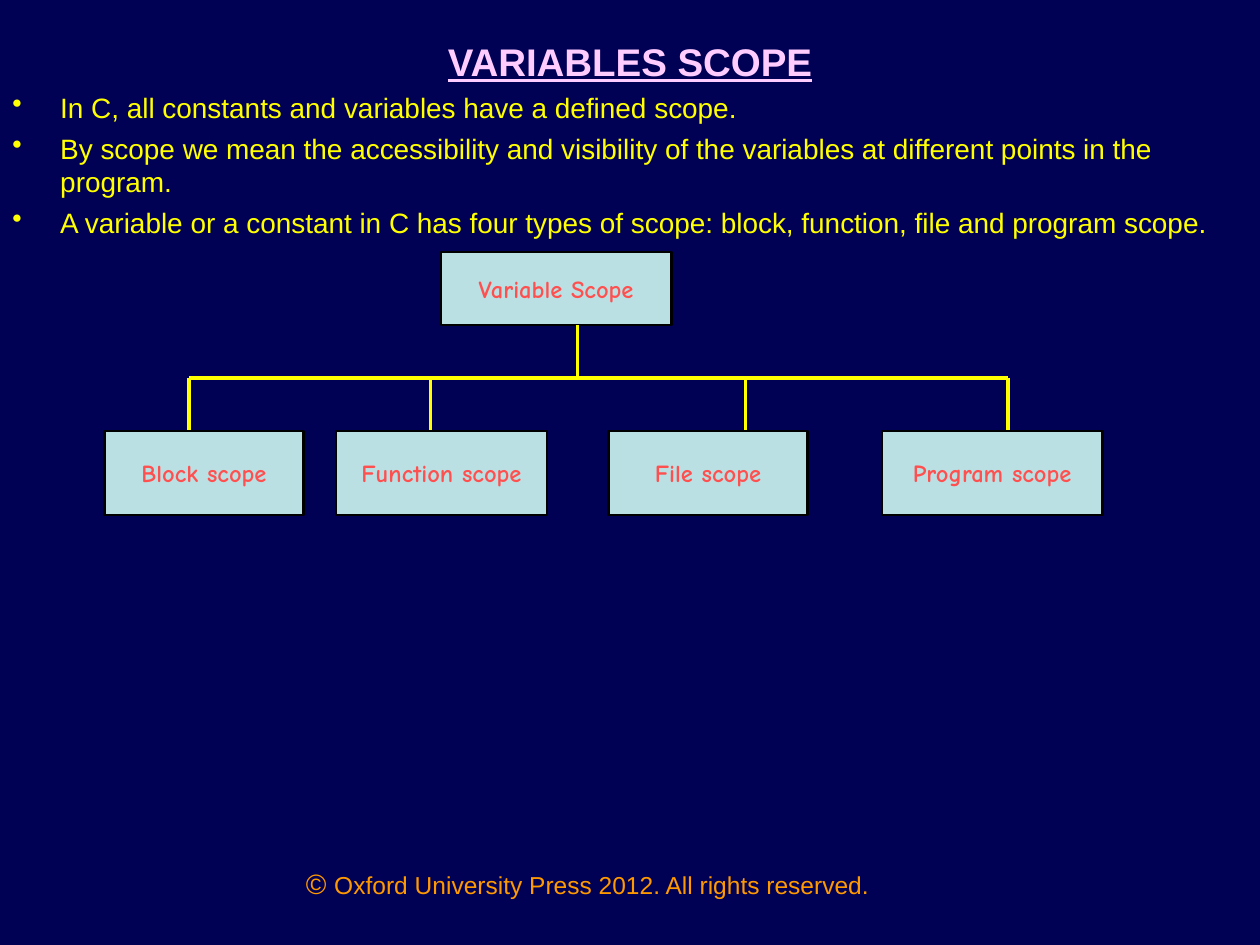
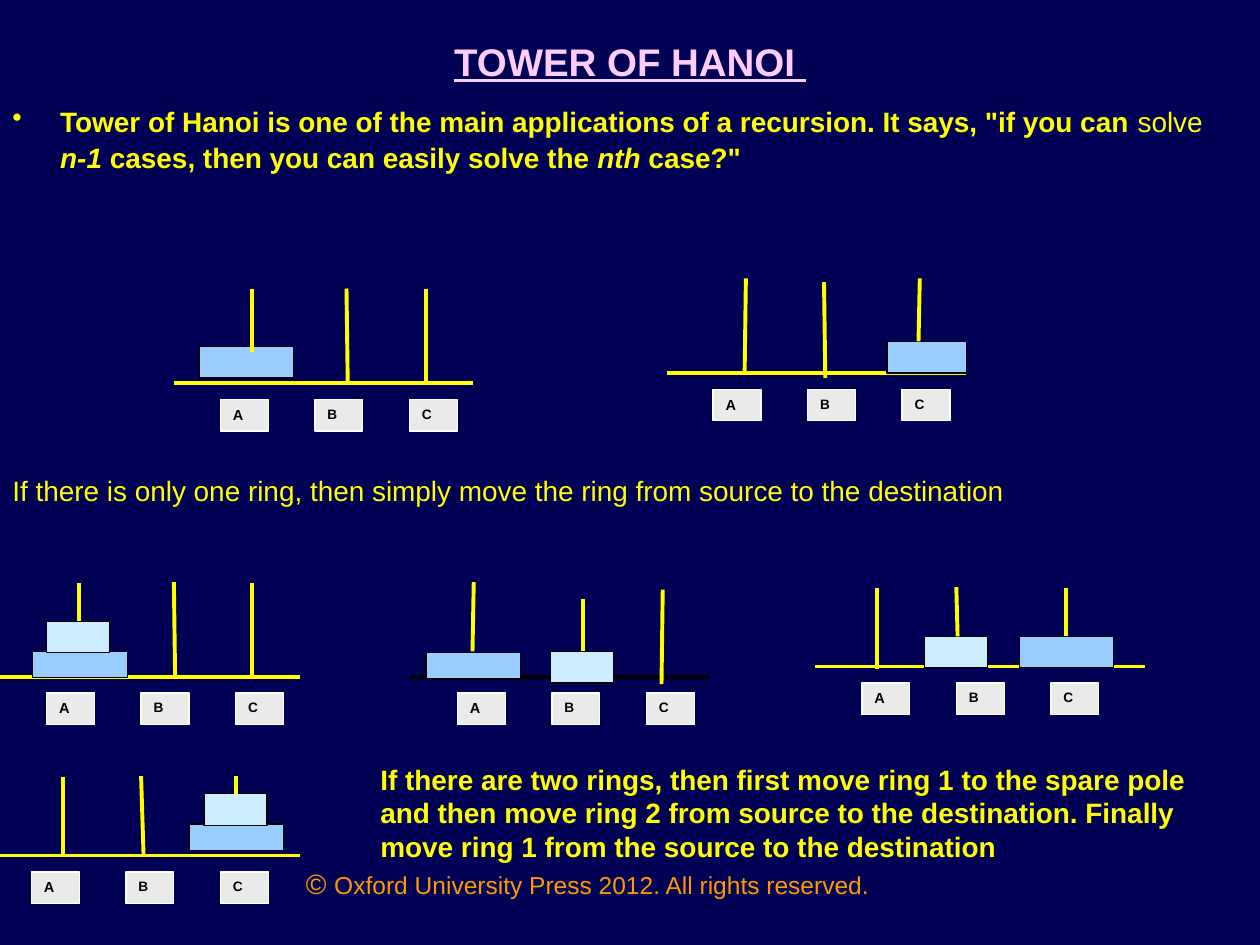
"""Build two lecture slides: variable scope in C and the Tower of Hanoi."""
import pptx
import pptx.dml.color
import pptx.enum.shapes
import pptx.enum.text
import pptx.oxml
import pptx.util
from lxml import etree

Inches = pptx.util.Inches
Pt = pptx.util.Pt
RGBColor = pptx.dml.color.RGBColor
Align = pptx.enum.text.PP_ALIGN
Anchor = pptx.enum.text.MSO_ANCHOR

NAVY = RGBColor(0x00, 0x00, 0x55)
YELLOW = RGBColor(0xFF, 0xFF, 0x00)
PINK = RGBColor(0xFF, 0xCC, 0xFF)
ORANGE = RGBColor(0xFF, 0x99, 0x00)
CORAL = RGBColor(0xFF, 0x50, 0x50)
TEAL = RGBColor(0xBB, 0xE0, 0xE3)
BLUE = RGBColor(0x99, 0xCC, 0xFF)
PALE_BLUE = RGBColor(0xCC, 0xEC, 0xFF)
GREY = RGBColor(0xEA, 0xEA, 0xEA)
BLACK = RGBColor(0x00, 0x00, 0x00)
WHITE = RGBColor(0xFF, 0xFF, 0xFF)

COPYRIGHT = [
    ("© ", {"size": 16}),
    ("Oxford University Press 2012. All rights reserved.", {}),
]

SCOPE_POINTS = [
    "In C, all constants and variables have a defined scope.",
    "By scope we mean the accessibility and visibility of the variables at "
    "different points in the program.",
    "A variable or a constant in C has four types of scope: block, function, "
    "file and program scope.",
]
SCOPE_ROOT = ("Variable Scope", (3.5, 2, 1.83, 0.58))
STEM_X, BUS_Y = 4.58, 3
CHILD_TOP, CHILD_HEIGHT = 3.42, 0.67
SCOPE_CHILDREN = [
    {"name": "Block scope", "left": 0.83, "width": 1.58, "drop": 1.5},
    {"name": "Function scope", "left": 2.67, "width": 1.67, "drop": 3.42},
    {"name": "File scope", "left": 4.83, "width": 1.58, "drop": 5.92},
    {"name": "Program scope", "left": 7, "width": 1.75, "drop": 8},
]

HANOI_IDEA = [
    ("Tower of Hanoi is one of the main applications of a recursion. "
     "It says, \"if you can ", {}),
    ("solve ", {"bold": False}),
    ("n-1", {"italic": True}),
    (" cases, then you can easily solve the ", {}),
    ("nth", {"italic": True}),
    (" case?\"", {}),
]
ONE_RING = ("If there is only one ring, then simply move the ring from "
            "source to the destination")
TWO_RINGS = ("If there are two rings, then first move ring 1 to the spare "
             "pole and then move ring 2 from source to the destination. "
             "Finally move ring 1 from the source to the destination")

PEG_LETTERS = [("A", 8.3), ("B", 7.8), ("C", 7.8)]
PEG_STEP, PEG_WIDTH, PEG_HEIGHT, BASE_GAP = 0.75, 0.38, 0.25, 0.13
HANOI_STEPS = [
    {"letters": (1.75, 3.17), "base": (1.38, 3.75, YELLOW),
     "rings": [(1.58, 2.75, 0.75, 0.25, BLUE)],
     "poles": [(2, 2.29, 2, 2.79), (2.75, 2.29, 2.76, 3.05),
               (3.38, 2.29, 3.38, 3.04)]},
    {"letters": (5.66, 3.09), "base": (5.29, 7.67, YELLOW),
     "rings": [(7.04, 2.71, 0.63, 0.25, BLUE)],
     "poles": [(5.92, 2.21, 5.91, 2.96), (6.54, 2.24, 6.55, 3),
               (7.3, 2.21, 7.29, 2.71)]},
    {"letters": (0.37, 5.5), "base": (0, 2.38, YELLOW),
     "rings": [(0.26, 5.17, 0.75, 0.21, BLUE),
               (0.37, 4.93, 0.5, 0.25, PALE_BLUE)],
     "poles": [(0.63, 4.63, 0.63, 4.93), (1.38, 4.62, 1.39, 5.38),
               (2, 4.63, 2, 5.37)]},
    {"letters": (3.63, 5.5), "base": (3.25, 5.63, BLACK),
     "rings": [(3.38, 5.18, 0.75, 0.21, BLUE),
               (4.37, 5.17, 0.5, 0.25, PALE_BLUE)],
     "poles": [(3.76, 4.62, 3.75, 5.17), (4.63, 4.75, 4.63, 5.17),
               (5.26, 4.68, 5.25, 5.43)]},
    {"letters": (6.84, 5.42), "base": (6.47, 9.09, YELLOW),
     "rings": [(8.09, 5.05, 0.75, 0.25, BLUE),
               (7.34, 5.05, 0.5, 0.25, PALE_BLUE)],
     "poles": [(6.96, 4.67, 6.96, 5.31), (7.59, 4.66, 7.6, 5.05),
               (8.46, 4.67, 8.46, 5.05)]},
    {"letters": (0.25, 6.92), "base": (0, 2.38, YELLOW),
     "rings": [(1.5, 6.54, 0.75, 0.21, BLUE),
               (1.62, 6.3, 0.5, 0.25, PALE_BLUE)],
     "poles": [(0.5, 6.17, 0.5, 6.79), (1.12, 6.16, 1.14, 6.8),
               (1.87, 6.16, 1.87, 6.3)]},
]


def add_bullet(paragraph):
    properties = paragraph._p.get_or_add_pPr()
    properties.set("marL", str(Inches(0.38)))
    properties.set("indent", str(-Inches(0.38)))
    tint = etree.SubElement(properties, pptx.oxml.ns.qn("a:buClr"))
    etree.SubElement(tint, pptx.oxml.ns.qn("a:srgbClr"), val=str(YELLOW))
    etree.SubElement(properties, pptx.oxml.ns.qn("a:buChar"), char="•")


def write_text(frame, paragraphs, size=16, color=YELLOW, font="Arial",
               bold=False, underline=False, align=Align.LEFT,
               anchor=Anchor.TOP, wrap=True, bullet=False, spacing=None):
    """Fill a text frame with paragraphs, each a string or a list of runs."""
    frame.auto_size = pptx.enum.text.MSO_AUTO_SIZE.NONE
    frame.word_wrap = wrap
    frame.vertical_anchor = anchor
    for index, content in enumerate(paragraphs):
        paragraph = frame.add_paragraph() if index else frame.paragraphs[0]
        paragraph.alignment = align
        if bullet:
            add_bullet(paragraph)
        if index:
            paragraph.space_before = Pt(4)
        if spacing:
            paragraph.line_spacing = spacing
        runs = [(content, {})] if isinstance(content, str) else content
        for text, changes in runs:
            run = paragraph.add_run()
            run.text = text
            run.font.name = font
            run.font.size = Pt(changes.get("size", size))
            run.font.bold = changes.get("bold", bold)
            run.font.italic = changes.get("italic", False)
            run.font.underline = underline
            run.font.color.rgb = color


def add_text(slide, box, paragraphs, **style):
    holder = slide.shapes.add_textbox(*map(Inches, box))
    write_text(holder.text_frame, paragraphs, **style)


def add_block(slide, box, fill, outline, weight):
    block = slide.shapes.add_shape(
        pptx.enum.shapes.MSO_SHAPE.RECTANGLE, *map(Inches, box))
    block.shadow.inherit = False
    block.fill.solid()
    block.fill.fore_color.rgb = fill
    block.line.color.rgb = outline
    block.line.width = Pt(weight)
    return block


def add_line(slide, ends, weight, color=YELLOW):
    line = slide.shapes.add_connector(
        pptx.enum.shapes.MSO_CONNECTOR.STRAIGHT, *map(Inches, ends))
    line.line.color.rgb = color
    line.line.width = Pt(weight)
    etree.SubElement(line._element.spPr, pptx.oxml.ns.qn("a:effectLst"))


def add_slide(deck, heading):
    slide = deck.slides.add_slide(deck.slide_layouts[5])
    slide.background.fill.solid()
    slide.background.fill.fore_color.rgb = NAVY
    title = slide.shapes.title
    title.left, title.top, title.width, title.height = map(
        Inches, (0.5, 0.3, 9, 0.7))
    title.text_frame.margin_top = title.text_frame.margin_bottom = 0
    write_text(title.text_frame, [heading], size=22, color=PINK, bold=True,
               underline=True, align=Align.CENTER)
    add_text(slide, (2, 6.83, 5.33, 0.52), [COPYRIGHT], size=14,
             color=ORANGE, align=Align.CENTER)
    return slide


def add_scope_box(slide, name, box):
    block = add_block(slide, box, TEAL, BLACK, 1.25)
    write_text(block.text_frame, [name], size=14, color=CORAL,
               font="Comic Neue", bold=True, align=Align.CENTER,
               anchor=Anchor.MIDDLE, wrap=False)


def build_scope_slide(deck):
    slide = add_slide(deck, "VARIABLES SCOPE")
    add_text(slide, (0, 0.67, 10, 5.79), SCOPE_POINTS, bullet=True)
    name, root_box = SCOPE_ROOT
    add_scope_box(slide, name, root_box)
    add_line(slide, (STEM_X, root_box[1] + root_box[3], STEM_X, BUS_Y), 1.75)
    add_line(slide, (SCOPE_CHILDREN[0]["drop"], BUS_Y,
                     SCOPE_CHILDREN[-1]["drop"], BUS_Y), 1.75)
    for child in SCOPE_CHILDREN:
        add_line(slide, (child["drop"], BUS_Y, child["drop"], CHILD_TOP), 1.75)
        add_scope_box(slide, child["name"], (child["left"], CHILD_TOP,
                                             child["width"], CHILD_HEIGHT))


def draw_hanoi_step(slide, step):
    left, top = step["letters"]
    base_left, base_right, base_color = step["base"]
    base_y = top - BASE_GAP
    add_line(slide, (base_left, base_y, base_right, base_y), 2.25, base_color)
    for *ring_box, ring_color in step["rings"]:
        add_block(slide, ring_box, ring_color, BLACK, 0.75)
    for pole in step["poles"]:
        add_line(slide, pole, 2.25)
    for index, (letter, size) in enumerate(PEG_LETTERS):
        peg_box = (left + index * PEG_STEP, top, PEG_WIDTH, PEG_HEIGHT)
        peg = add_block(slide, peg_box, GREY, WHITE, 0.75)
        write_text(peg.text_frame, [letter], size=size, color=BLACK, bold=True)


def build_hanoi_slide(deck):
    slide = add_slide(deck, "TOWER OF HANOI ")
    add_text(slide, (0, 0.75, 10, 0.92), [HANOI_IDEA], bold=True, bullet=True,
             spacing=1.1)
    for step in HANOI_STEPS:
        draw_hanoi_step(slide, step)
    add_text(slide, (0, 3.67, 9.67, 0.44), [ONE_RING], anchor=Anchor.MIDDLE)
    add_text(slide, (2.92, 6, 6.75, 0.9), [TWO_RINGS], bold=True)


def main():
    deck = pptx.Presentation()
    deck.slide_width, deck.slide_height = Inches(10), Inches(7.5)
    build_scope_slide(deck)
    build_hanoi_slide(deck)
    deck.save("out.pptx")


if __name__ == "__main__":
    main()
